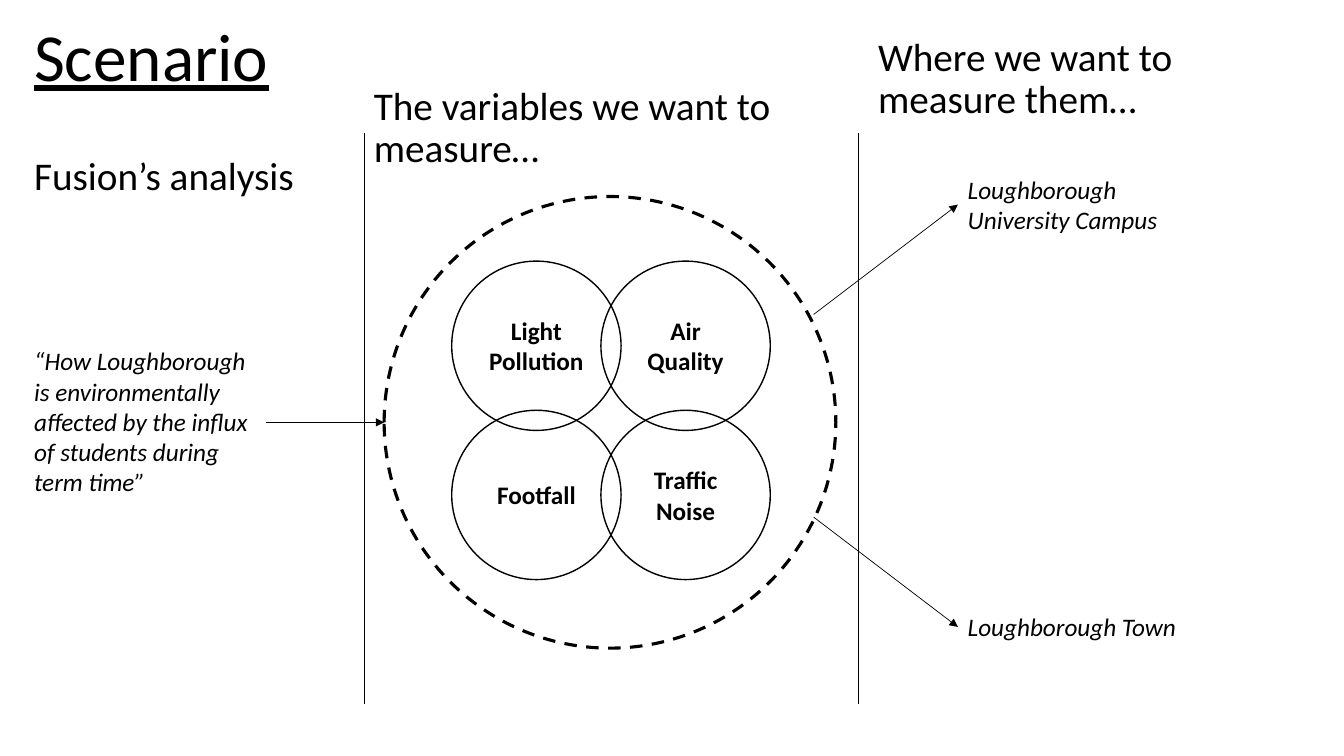
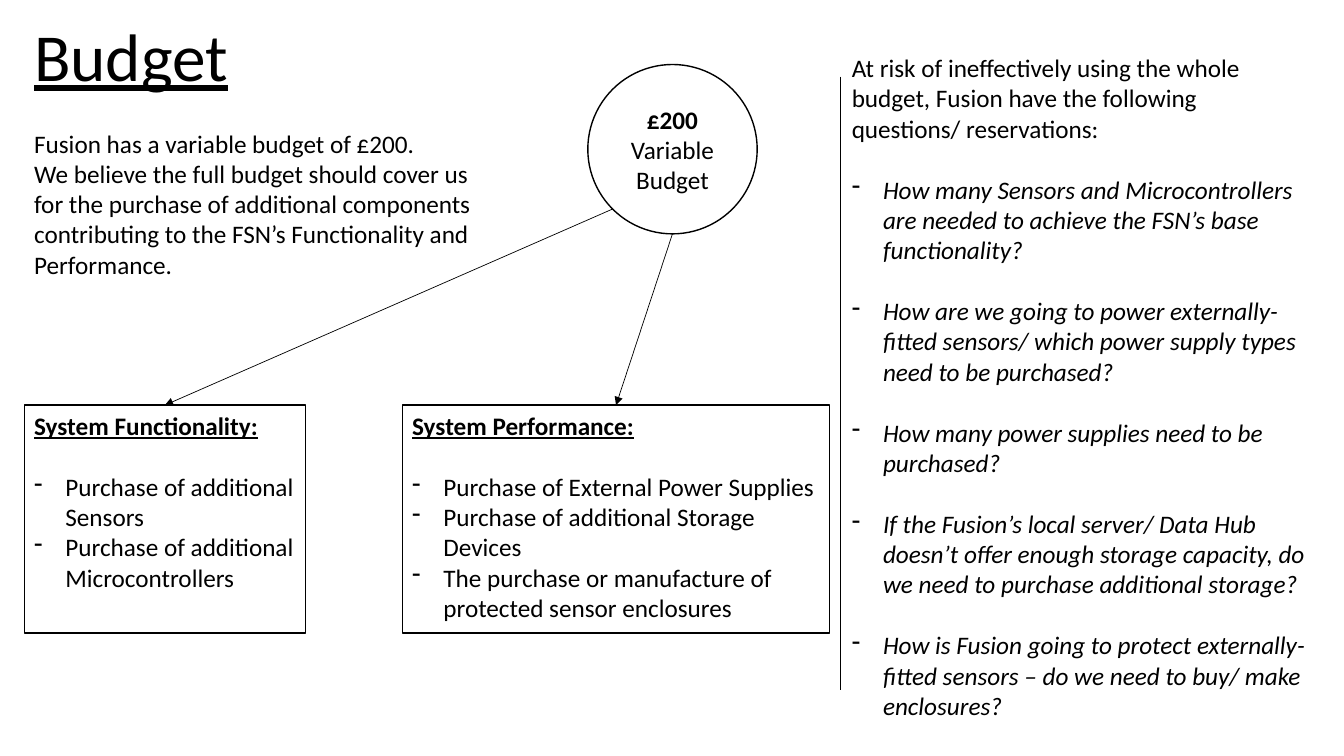
"""Build two slides: the measuring scenario and the budget."""
from math import sqrt

from lxml.etree import SubElement
from pptx import Presentation
from pptx.dml.color import RGBColor
from pptx.enum.dml import MSO_LINE
from pptx.enum.shapes import MSO_CONNECTOR, MSO_SHAPE
from pptx.enum.text import MSO_ANCHOR, PP_ALIGN
from pptx.oxml.ns import qn
from pptx.util import Inches, Pt

COLORS = {"ink": "000000", "paper": "FFFFFF"}
FONT = "Calibri"
BODY, HEADING, TITLE = 18, 28, 48
GAP = 22
LEFT, INDENT = 0.24, 0.31
DISC, DISC_STEP = 1.68, 1.48

HEADINGS = [
    ("Fusion’s analysis", (LEFT, 1.5, 3.26, 0.53)),
    ("The variables we want to measure…", (3.61, 0.81, 4.68, 0.95)),
    ("Where we want to measure them…", (8.61, 0.32, 4.32, 0.95)),
]
NOTES = [
    ("“How Loughborough is environmentally affected by the influx of students during term time”",
     (LEFT, 3.38, 2.4, 1.62)),
    ("Loughborough University Campus", (9.5, 1.68, 2.4, 0.71)),
    ("Loughborough Town", (9.5, 6.02, 2.4, 0.4)),
]
VARIABLES = [["Light Pollution", "Air Quality"], ["Footfall", "Traffic Noise"]]
SCENARIO_ARROWS = [
    ((2.64, 4.19), (3.81, 4.19)),
    ((8.07, 3.12), (9.5, 2.03)),
    ((8.07, 5.13), (9.5, 6.22)),
]

BUDGET_INTRO = [
    "Fusion has a variable budget of £200.",
    "We believe the full budget should cover us for the purchase of additional components "
    "contributing to the FSN’s Functionality and Performance.",
]
SPENDING = [
    ("System Functionality:", LEFT, 2.79, [
        "Purchase of additional Sensors",
        "Purchase of additional Microcontrollers",
    ]),
    ("System Performance:", 3.99, 4.24, [
        "Purchase of External Power Supplies",
        "Purchase of additional Storage Devices",
        "The purchase or manufacture of protected sensor enclosures",
    ]),
]
RISK = ("At risk of ineffectively using the whole budget, "
        "Fusion have the following questions/ reservations:")
QUESTIONS = [
    "How many Sensors and Microcontrollers are needed to achieve the FSN’s base functionality?",
    "How are we going to power externally-fitted sensors/ which power supply types need to be "
    "purchased?",
    "How many power supplies need to be purchased?",
    "If the Fusion’s local server/ Data Hub doesn’t offer enough storage capacity, do we need to "
    "purchase additional storage?",
    "How is Fusion going to protect externally-fitted sensors – do we need to buy/ make "
    "enclosures?",
]


def color(name):
    """Return a palette colour."""
    return RGBColor.from_string(COLORS[name])


def write(sp, text, size=BODY, bold=False, italic=False, underline=False,
          align=PP_ALIGN.LEFT, spacing=1.0, before=0, bullet=False):
    """Append a formatted paragraph to a shape."""
    tf = sp.text_frame
    p = tf.add_paragraph() if tf.text else tf.paragraphs[0]
    p.alignment, p.line_spacing, p.space_before = align, spacing, Pt(before)
    if bullet:
        pPr = p._p.get_or_add_pPr()
        pPr.set("marL", str(Inches(INDENT)))
        pPr.set("indent", str(-Inches(INDENT)))
        SubElement(pPr, qn("a:buFontTx"))
        SubElement(pPr, qn("a:buChar"), char="-")
    r = p.add_run()
    r.text = text
    font = r.font
    font.name, font.size, font.color.rgb = FONT, Pt(size), color("ink")
    font.bold, font.italic, font.underline = bold, italic, underline


def add_text(slide, box):
    """Add an empty wrapping text box."""
    sp = slide.shapes.add_textbox(*map(Inches, box))
    sp.text_frame.word_wrap = True
    return sp


def add_outline(slide, kind, box, width=1, anchor=MSO_ANCHOR.MIDDLE):
    """Add an unfilled outlined shape."""
    sp = slide.shapes.add_shape(kind, *map(Inches, box))
    sp.shadow.inherit = False
    sp.fill.background()
    sp.line.color.rgb, sp.line.width = color("ink"), Pt(width)
    sp.text_frame.word_wrap = True
    sp.text_frame.vertical_anchor = anchor
    return sp


def add_line(slide, start, end, arrow=False):
    """Add a thin line, optionally with an arrowhead."""
    line = slide.shapes.add_connector(MSO_CONNECTOR.STRAIGHT, *map(Inches, start + end))
    line.line.color.rgb, line.line.width = color("ink"), Pt(0.5)
    if arrow:
        SubElement(line.line._get_or_add_ln(), qn("a:tailEnd"), type="triangle")
    SubElement(line._element.spPr, qn("a:effectLst"))


def add_slide(prs, title):
    """Add a blank slide with an underlined title."""
    slide = prs.slides.add_slide(prs.slide_layouts[6])
    slide.background.fill.solid()
    slide.background.fill.fore_color.rgb = color("paper")
    write(add_text(slide, (LEFT, 0.18, 4.48, 0.9)), title, size=TITLE, underline=True, spacing=0.9)
    return slide


def build_scenario(prs):
    """Build the scenario slide."""
    slide = add_slide(prs, "Scenario")
    for row, names in enumerate(VARIABLES):
        for col, name in enumerate(names):
            box = (4.48 + col * DISC_STEP, 2.59 + row * DISC_STEP, DISC, DISC)
            write(add_outline(slide, MSO_SHAPE.OVAL, box), name, bold=True, align=PP_ALIGN.CENTER)
    ring = add_outline(slide, MSO_SHAPE.OVAL, (3.81, 1.95, 4.48, 4.48), width=2.25)
    ring.line.dash_style = MSO_LINE.DASH
    for x in (3.61, 8.51):
        add_line(slide, (x, 1.32), (x, 6.98))
    for start, end in SCENARIO_ARROWS:
        add_line(slide, start, end, arrow=True)
    for text, box in HEADINGS:
        write(add_text(slide, box), text, size=HEADING, spacing=0.9)
    for text, box in NOTES:
        write(add_text(slide, box), text, italic=True)


def build_budget(prs):
    """Build the budget slide."""
    slide = add_slide(prs, "Budget")
    x, y, top = 5.83, 0.64, 4.02
    disc = add_outline(slide, MSO_SHAPE.OVAL, (x, y, DISC, DISC))
    write(disc, "£200", bold=True, align=PP_ALIGN.CENTER)
    write(disc, "Variable Budget", align=PP_ALIGN.CENTER)

    radius = DISC / 2
    diagonal = radius / sqrt(2)
    starts = [(x + radius - diagonal, y + radius + diagonal), (x + radius, y + DISC)]
    for start, (heading, left, width, items) in zip(starts, SPENDING):
        sp = add_outline(slide, MSO_SHAPE.RECTANGLE, (left, top, width, 2.26),
                         anchor=MSO_ANCHOR.TOP)
        write(sp, heading, bold=True, underline=True)
        for i, item in enumerate(items):
            write(sp, item, bullet=True, before=0 if i else GAP)
        add_line(slide, start, (left + width / 2, top), arrow=True)

    intro = add_text(slide, (LEFT, 1.22, 4.74, 1.62))
    for text in BUDGET_INTRO:
        write(intro, text)
    add_line(slide, (8.33, 0.76), (8.33, 6.85))
    risks = add_text(slide, (8.35, 0.47, 4.74, 6.68))
    write(risks, RISK)
    for question in QUESTIONS:
        write(risks, question, italic=True, bullet=True, before=GAP)


def main():
    """Create and save the presentation."""
    prs = Presentation()
    prs.slide_width, prs.slide_height = Inches(13.33), Inches(7.5)
    build_scenario(prs)
    build_budget(prs)
    prs.save("out.pptx")


if __name__ == "__main__":
    main()
